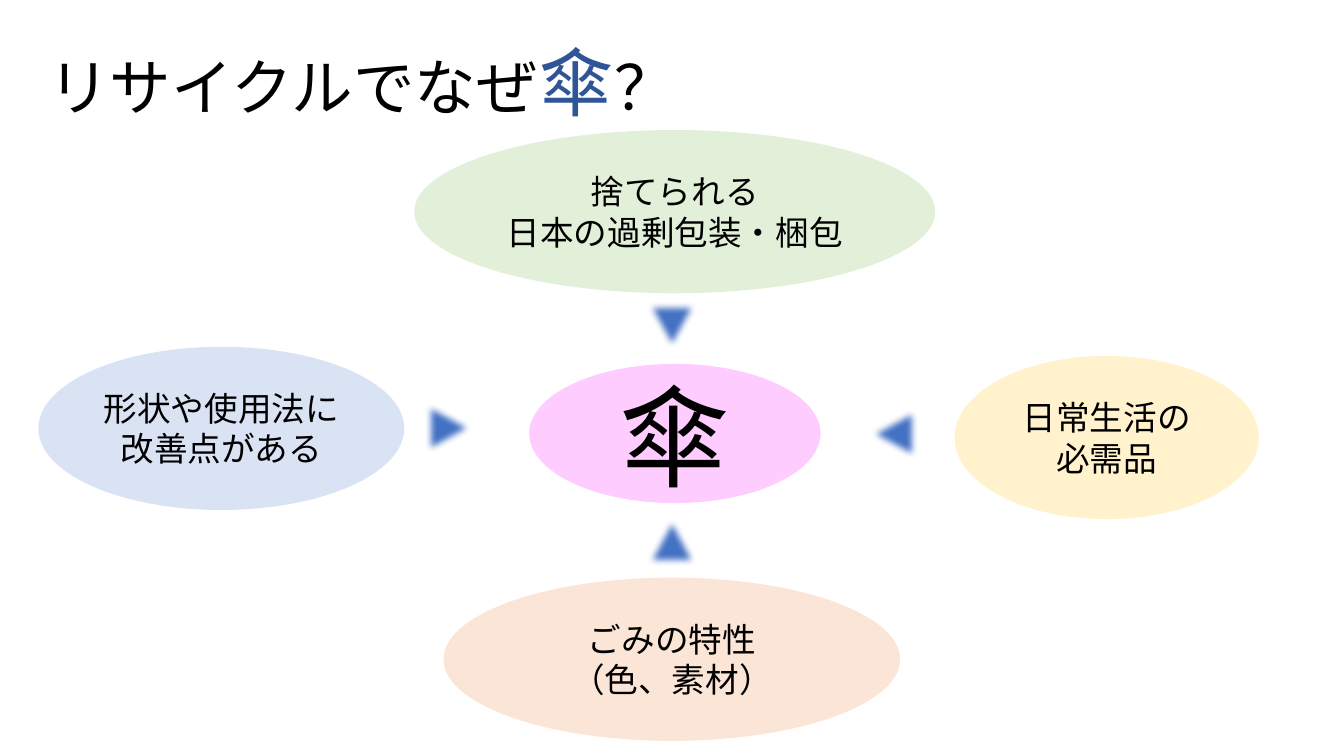
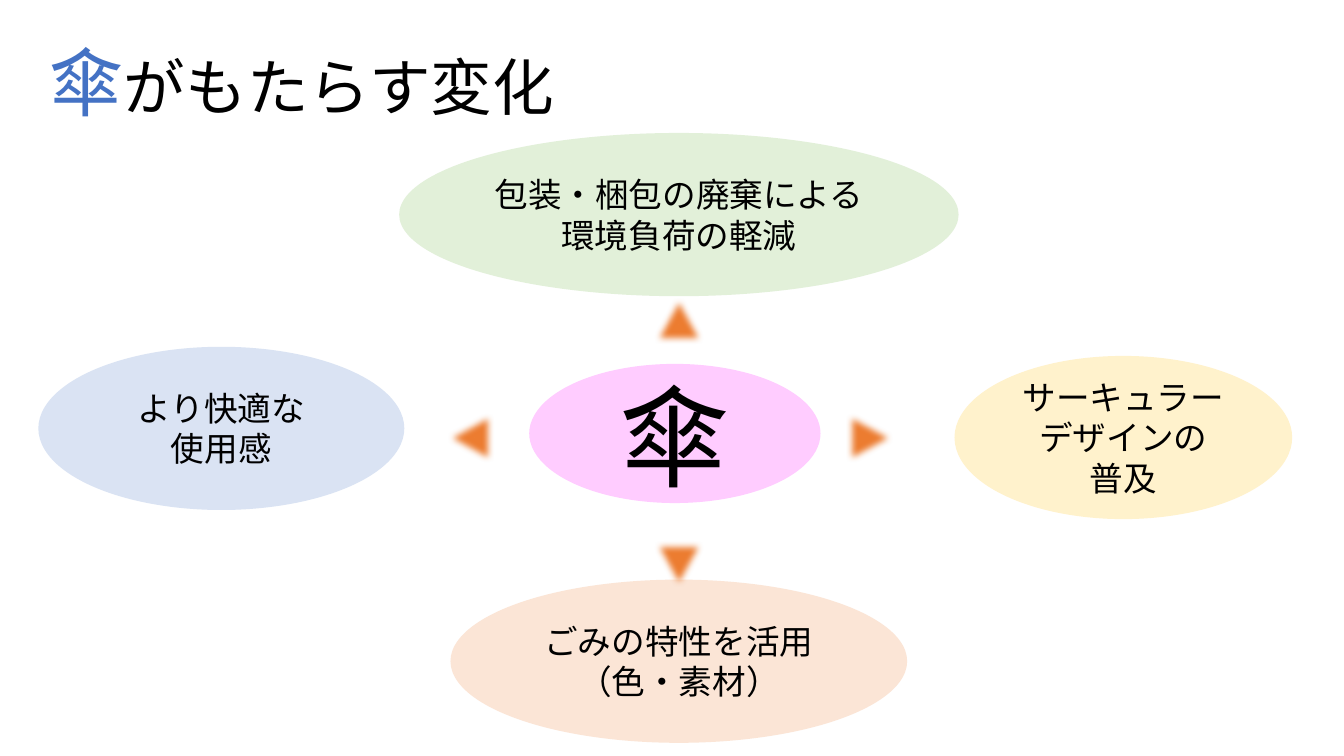
from lxml import etree
from pptx import Presentation
from pptx.dml.color import RGBColor
from pptx.enum.shapes import MSO_SHAPE
from pptx.enum.text import MSO_ANCHOR, PP_ALIGN
from pptx.oxml.ns import qn
from pptx.util import Pt

ELLIPSE = MSO_SHAPE.OVAL
TRIANGLE = MSO_SHAPE.ISOSCELES_TRIANGLE
MIDDLE = MSO_ANCHOR.MIDDLE
CENTER = PP_ALIGN.CENTER

# Shared style
FONT = "Noto Sans CJK JP"
BLACK, BLUE, DARK_BLUE, ORANGE = "000000", "4472C4", "2F5597", "ED7D31"
GREEN_TINT, YELLOW_TINT, PINK_TINT = "E2F0D9", "FFF2CC", "FFCCFF"
BLUE_TINT, ORANGE_TINT = "DAE3F3", "FBE5D6"
TITLE_BOX = (27.4, 9.4, 828, 104.4)
CENTER_BOX = (378, 259.9, 208.1, 99.4)
LEFT_BOX = (27.4, 247.7, 261.4, 116.6)
THEME_HEIGHT = 116.6
ARROW_WIDTH, ARROW_HEIGHT = 48.2, 43.9
SOFT_EDGE = 5
UP, RIGHT, DOWN, LEFT = 0, 90, 180, 270


def color(hex_string):
    return RGBColor.from_string(hex_string)


class Deck:
    def __init__(self):
        self.presentation = Presentation()
        self.presentation.slide_width = Pt(960)
        self.presentation.slide_height = Pt(540)
        self.slide = None

    def add_slide(self):
        blank = self.presentation.slide_layouts[6]
        self.slide = self.presentation.slides.add_slide(blank)

    def set_font(self, paragraph, size):
        paragraph.font.size = Pt(size)
        paragraph.font.color.rgb = color(BLACK)
        paragraph.font.name = FONT
        # East Asian typeface
        defaults = paragraph._p.pPr.find(qn("a:defRPr"))
        etree.SubElement(defaults, qn("a:ea"), typeface=FONT)

    def title(self, runs):
        shape = self.slide.shapes.add_textbox(*map(Pt, TITLE_BOX))
        frame = shape.text_frame
        frame.word_wrap = True
        frame.vertical_anchor = MIDDLE
        paragraph = frame.paragraphs[0]
        paragraph.line_spacing = 0.9
        self.set_font(paragraph, 44)
        for text, size, run_color in runs:
            run = paragraph.add_run()
            run.text = text
            run.font.size = Pt(size)
            run.font.color.rgb = color(run_color)

    def filled_shape(self, kind, box, fill):
        shape = self.slide.shapes.add_shape(kind, *map(Pt, box))
        shape.shadow.inherit = False
        shape.fill.solid()
        shape.fill.fore_color.rgb = color(fill)
        shape.line.fill.background()
        return shape

    def ellipse(self, text, box, fill, size=24):
        frame = self.filled_shape(ELLIPSE, box, fill).text_frame
        frame.word_wrap = True
        frame.vertical_anchor = MIDDLE
        frame.text = text
        for paragraph in frame.paragraphs:
            paragraph.alignment = CENTER
            self.set_font(paragraph, size)

    def arrow(self, left, top, direction, fill):
        box = (left, top, ARROW_WIDTH, ARROW_HEIGHT)
        shape = self.filled_shape(TRIANGLE, box, fill)
        shape.rotation = direction
        effects = shape._element.spPr.find(qn("a:effectLst"))
        etree.SubElement(effects, qn("a:softEdge"), rad=str(Pt(SOFT_EDGE)))

    def umbrella_diagram(self, title, themes, arrows, arrow_color):
        """Four themes around the umbrella: top, right, left, bottom."""
        self.add_slide()
        self.title(title)
        self.ellipse("傘", CENTER_BOX, PINK_TINT, 80)
        fills = (GREEN_TINT, YELLOW_TINT, BLUE_TINT, ORANGE_TINT)
        for (text, box), fill in zip(themes, fills):
            self.ellipse(text, box, fill)
        for left, top, direction in arrows:
            self.arrow(left, top, direction, arrow_color)


deck = Deck()

# Reasons: arrows point inwards
deck.umbrella_diagram(
    title=[("リサイクルでなぜ", 44, BLACK), ("傘", 54, DARK_BLUE), ("？", 44, BLACK)],
    themes=[
        ("捨てられる\n日本の過剰包装・梱包", (295.9, 92.9, 372.2, THEME_HEIGHT)),
        ("日常生活の必需品", (681.8, 254.2, 217.4, THEME_HEIGHT)),
        ("形状や使用法に\n改善点がある", LEFT_BOX),
        ("ごみの特性\n（色、素材）", (316.8, 412.6, 326.2, THEME_HEIGHT)),
    ],
    arrows=[(301, 283.7, RIGHT), (455.8, 360.7, UP),
            (609.8, 288, LEFT), (455.8, 215.3, DOWN)],
    arrow_color=BLUE,
)

# Changes: arrows point outwards
deck.umbrella_diagram(
    title=[("傘", 54, BLUE), ("がもたらす変化", 44, BLACK)],
    themes=[
        ("包装・梱包の廃棄による\n環境負荷の軽減", (285.1, 95, 399.6, THEME_HEIGHT)),
        ("サーキュラーデザインの\n普及", (681.8, 254.2, 241.2, THEME_HEIGHT)),
        ("より快適な\n使用感", LEFT_BOX),
        ("ごみの特性を活用\n（色・素材）", (321.8, 414, 326.2, THEME_HEIGHT)),
    ],
    arrows=[(601.9, 290.9, RIGHT), (460.8, 202.3, UP),
            (307.4, 290.9, LEFT), (460.8, 385.9, DOWN)],
    arrow_color=ORANGE,
)

deck.presentation.save("out.pptx")
